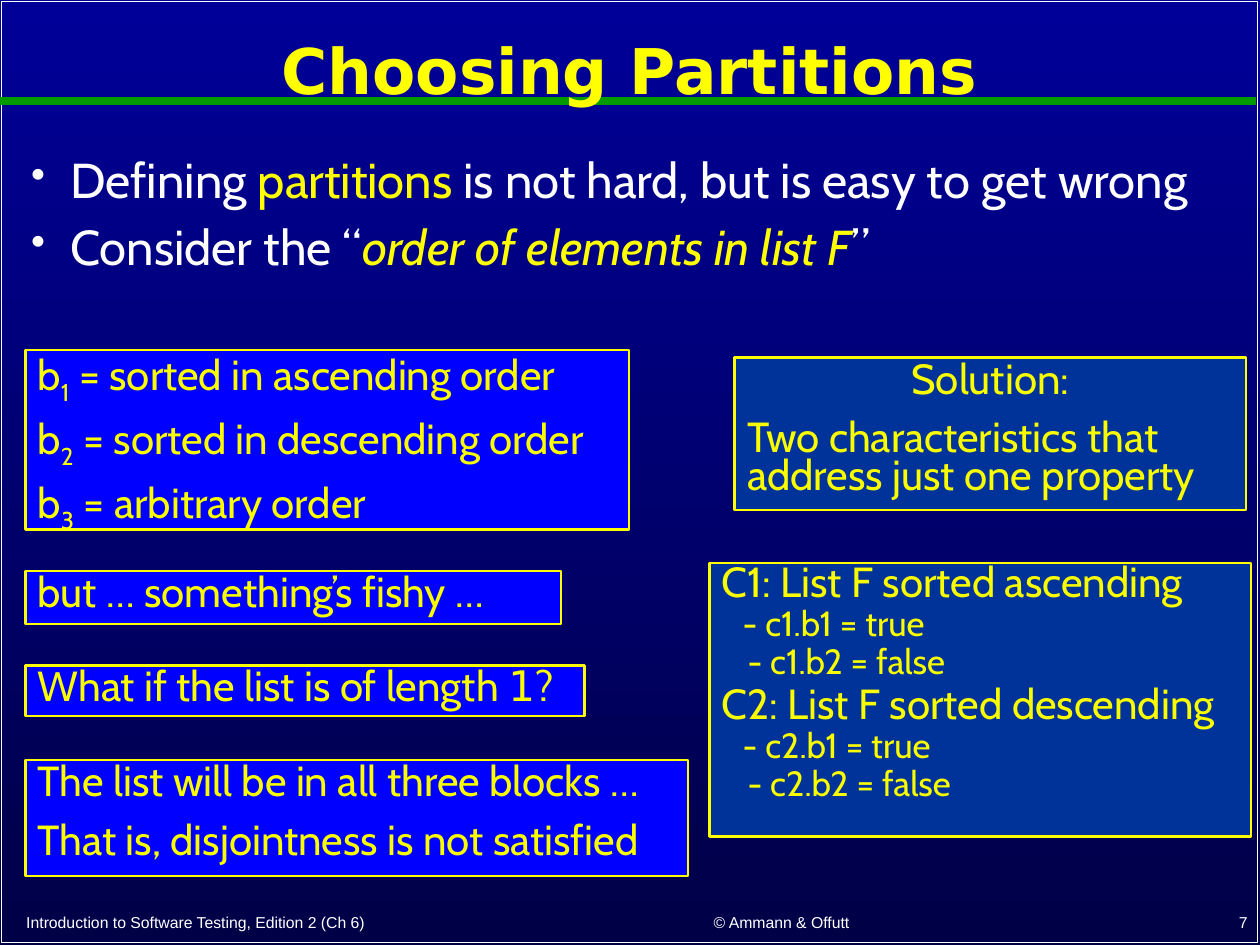
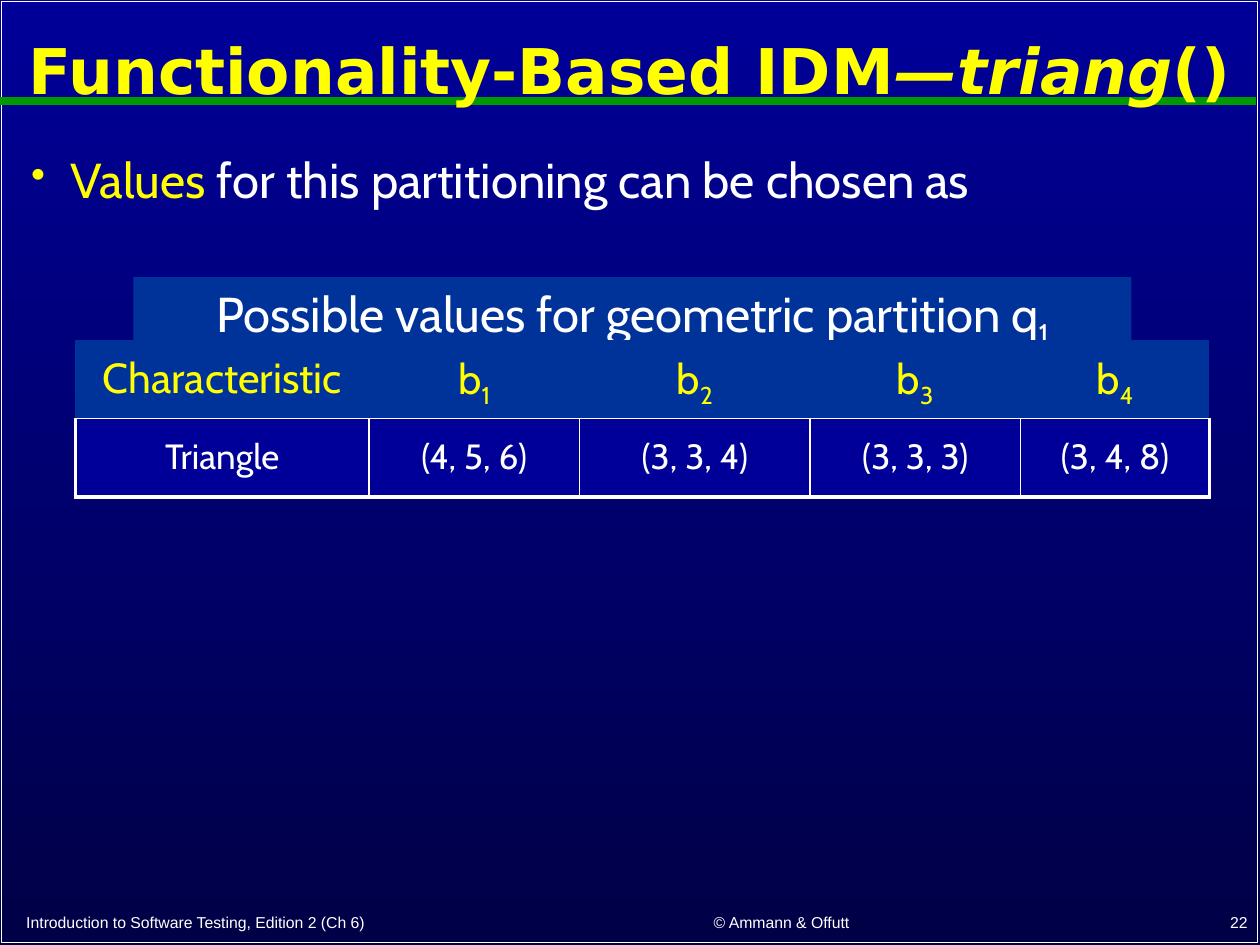
"""Build two software-testing lecture slides on partitions and triang() values."""
from dataclasses import dataclass

from lxml import etree
from pptx import Presentation
from pptx import util as u
from pptx.dml.color import RGBColor
from pptx.enum import shapes, text
from pptx.oxml.ns import qn


@dataclass(frozen=True)
class Theme:
    """Colours, fonts and type sizes shared by the slides."""
    white: str = "FFFFFF"
    yellow: str = "FFFF00"
    box_text: str = "FAFD00"
    green: str = "009900"
    blue: str = "0000FF"
    steel: str = "003399"
    navy: str = "000099"
    midnight: str = "000047"
    title_font: str = "DejaVu Sans"
    body_font: str = "Cabin"
    footer_font: str = "Arial"
    title: int = 36
    body: int = 28
    box: int = 24
    detail: int = 20
    footer: int = 9


THEME = Theme()
ACCENT = {"color": THEME.yellow}
ITALIC = {"italic": True}
SUB = {"sub": True}
CENTER, RIGHT = text.PP_ALIGN.CENTER, text.PP_ALIGN.RIGHT

FOOTER = "Introduction to Software Testing, Edition 2 (Ch 6)"
COPYRIGHT = "© Ammann & Offutt"


def block(number, meaning):
    """Return the runs of a block name b with its subscript and meaning."""
    return ["b", (str(number), SUB), meaning]


def characteristic(name, order):
    """Return the paragraphs of one characteristic and its two blocks."""
    return [
        f"{name.upper()}: List F sorted {order}",
        {"runs": [f"- {name}.b1 = true"], "size": THEME.detail, "indent": 0.42},
        {"runs": [f"- {name}.b2 = false"], "size": THEME.detail, "indent": 0.52},
    ]


PARTITIONS = {
    "title": ["Choosing Partitions"],
    "number": "7",
    "body_height": 4.11,
    "body": [
        ["Defining ", ("partitions", ACCENT), " is not hard, but is easy to get wrong"],
        ["Consider the “", ("order of elements in list F", ACCENT | ITALIC), "”"],
    ],
}
BLOCKS = [
    block(1, " = sorted in ascending order"),
    block(2, " = sorted in descending order"),
    block(3, " = arbitrary order"),
]
DOUBTS = [
    (10.8, 1.07, ["but … something’s fishy …"]),
    (11.28, 1.02, [["What if the list is of length ", ("1", {"font": THEME.title_font}), "?"]]),
    (13.36, 2.34, ["The list will be in all three blocks …",
                   "That is, disjointness is not satisfied"]),
]
SOLUTION = [
    {"runs": ["Solution:"], "align": CENTER},
    "Two characteristics that address just one property",
]
CHARACTERISTICS = characteristic("c1", "ascending") + characteristic("c2", "descending")

TRIANG = {
    "title": ["Functionality-Based IDM", ("—triang", ITALIC), "()"],
    "number": "22",
    "body_height": 2.49,
    "body": [[("Values", ACCENT), " for this partitioning can be chosen as"]],
}
CAPTION = ["Possible values for geometric partition q", ("1", SUB)]
VALUES = [
    [["Characteristic"]] + [block(number, "") for number in range(1, 5)],
    [["Triangle"], ["(4, 5, 6)"], ["(3, 3, 4)"], ["(3, 3, 3)"], ["(3, 4, 8)"]],
]
COLUMN_WIDTHS = [5.92, 4.24, 4.65, 4.24, 3.81]
ROW_HEIGHT = 1.58


def rgb(color):
    """Return a colour object for a hex string."""
    return RGBColor.from_string(color)


def write(frame, paragraphs, *, size, color=THEME.white, font=THEME.body_font, bold=False,
          align=None, spacing=1.0, before=0.0, bullet=False):
    """Fill a text frame; before is a share of the paragraph's type size."""
    frame.word_wrap = True
    for index, content in enumerate(paragraphs):
        if isinstance(content, str):
            content = [content]
        options = content if isinstance(content, dict) else {"runs": content}
        points = options.get("size", size)
        paragraph = frame.add_paragraph() if index else frame.paragraphs[0]
        properties = paragraph._p.get_or_add_pPr()
        if bullet:
            properties.set("marL", str(u.Cm(0.79)))
            properties.set("indent", str(-u.Cm(0.79)))
            etree.SubElement(properties, qn("a:buSzPct")).set("val", "85000")
            etree.SubElement(properties, qn("a:buChar")).set("char", "•")
        elif "indent" in options:
            properties.set("marL", str(u.Cm(options["indent"])))
        paragraph.alignment = options.get("align", align)
        paragraph.line_spacing = spacing
        paragraph.space_before = u.Pt(round(points * before, 1) if index else 0)
        for item in options["runs"]:
            words, style = (item, {}) if isinstance(item, str) else item
            if not words:
                continue
            run = paragraph.add_run()
            run.text = words
            run.font.size = u.Pt(points)
            run.font.name = style.get("font", font)
            run.font.bold = bold
            run.font.italic = style.get("italic", False)
            run.font.color.rgb = rgb(style.get("color", color))
            if style.get("sub"):
                run._r.get_or_add_rPr().set("baseline", "-25000")


def add_text(slide, area, paragraphs, anchor=text.MSO_ANCHOR.TOP, **style):
    """Add a plain text box."""
    frame = slide.shapes.add_textbox(*map(u.Cm, area)).text_frame
    frame.vertical_anchor = anchor
    write(frame, paragraphs, **style)


def add_box(slide, area, fill=None, line=None, width=1.5):
    """Add a rectangle and return it."""
    shape = slide.shapes.add_shape(shapes.MSO_SHAPE.RECTANGLE, *map(u.Cm, area))
    shape.shadow.inherit = False
    if fill:
        shape.fill.solid()
        shape.fill.fore_color.rgb = rgb(fill)
    else:
        shape.fill.background()
    if line:
        shape.line.color.rgb = rgb(line)
        shape.line.width = u.Pt(width)
    else:
        shape.line.fill.background()
    return shape


def add_note(slide, area, paragraphs, fill, line=THEME.yellow, **style):
    """Add a filled rectangle with text that starts at its top left."""
    frame = add_box(slide, area, fill, line).text_frame
    frame.vertical_anchor = text.MSO_ANCHOR.TOP
    defaults = {"size": THEME.box, "color": THEME.box_text, "spacing": 0.75,
                "before": 0.5, "align": text.PP_ALIGN.LEFT}
    write(frame, paragraphs, **(defaults | style))


def add_slide(presentation, content):
    """Add a slide with its frame, title band, bullets and footers."""
    slide = presentation.slides.add_slide(presentation.slide_layouts[5])
    add_box(slide, (0.03, 0.03, 25.32, 18.97), line=THEME.white, width=1)
    band = slide.shapes.add_connector(
        shapes.MSO_CONNECTOR.STRAIGHT, *map(u.Cm, (0, 2.03, 25.32, 2.03)))
    band.line.color.rgb = rgb(THEME.green)
    band.line.width = u.Pt(4.5)
    etree.SubElement(band._element.spPr, qn("a:effectLst"))

    title = slide.shapes.title
    title.left, title.top, title.width, title.height = map(u.Cm, (0.03, 0.28, 25.32, 2.41))
    title.text_frame.auto_size = text.MSO_AUTO_SIZE.NONE
    title.text_frame.vertical_anchor = text.MSO_ANCHOR.MIDDLE
    write(title.text_frame, [content["title"]], size=THEME.title, color=THEME.yellow,
          font=THEME.title_font, bold=True, align=CENTER, spacing=0.9)
    title.element.getparent().append(title.element)

    add_text(slide, (0.38, 3.02, 24.64, content["body_height"]), content["body"],
             size=THEME.body, spacing=0.9, before=0.3, bullet=True)
    footers = [
        ((0.28, 18.24, 10.95, 0.66), FOOTER, None),
        ((11.73, 18.21, 8.05, 0.69), COPYRIGHT, CENTER),
        ((20.12, 18.19, 5.28, 0.71), content["number"], RIGHT),
    ]
    for area, words, align in footers:
        add_text(slide, area, [words], anchor=text.MSO_ANCHOR.BOTTOM, size=THEME.footer,
                 font=THEME.footer_font, align=align)
    return slide


def set_borders(cell, widths):
    """Set the left, right, top and bottom borders; zero hides one."""
    properties = cell._tc.get_or_add_tcPr()
    for side, width in zip("LRTB", widths):
        line = etree.SubElement(properties, qn(f"a:ln{side}"), w=str(u.Pt(width)))
        if width:
            fill = etree.SubElement(line, qn("a:solidFill"))
            etree.SubElement(fill, qn("a:srgbClr"), val=THEME.white)
        else:
            etree.SubElement(line, qn("a:noFill"))


def add_values_table(slide):
    """Add the table of triangle values."""
    rows, columns = len(VALUES), len(COLUMN_WIDTHS)
    area = (1.52, 6.86, sum(COLUMN_WIDTHS), ROW_HEIGHT * rows)
    table = slide.shapes.add_table(rows, columns, *map(u.Cm, area)).table
    table.first_row = table.horz_banding = False
    for column, width in zip(table.columns, COLUMN_WIDTHS):
        column.width = u.Cm(width)
    for row_index, row in enumerate(VALUES):
        header = row_index == 0
        for column_index, runs in enumerate(row):
            cell = table.cell(row_index, column_index)
            left = 2.25 if column_index == 0 else 1
            right = 2.25 if column_index == columns - 1 else 1
            set_borders(cell, (0, 0, 0, 1) if header else (left, right, 1, 2.25))
            cell.fill.solid()
            cell.fill.fore_color.rgb = rgb(THEME.steel if header else THEME.navy)
            cell.vertical_anchor = text.MSO_ANCHOR.MIDDLE
            write(cell.text_frame, [runs], size=THEME.box if header else THEME.detail,
                  color=THEME.yellow if header else THEME.white, align=CENTER, spacing=0.9)


def main():
    """Build and save the presentation."""
    presentation = Presentation()
    presentation.slide_width, presentation.slide_height = u.Cm(25.4), u.Cm(19.05)
    background = presentation.slide_master.background.fill
    background.gradient()
    background.gradient_angle = 270
    for stop, color in zip(background.gradient_stops, (THEME.navy, THEME.midnight)):
        stop.color.rgb = rgb(color)

    slide = add_slide(presentation, PARTITIONS)
    add_note(slide, (0.51, 7.06, 12.17, 3.61), BLOCKS, THEME.blue)
    for index, (width, height, paragraphs) in enumerate(DOUBTS):
        add_note(slide, (0.51, 11.51 + 1.905 * index, width, height), paragraphs, THEME.blue)
    add_note(slide, (14.81, 7.21, 10.31, 3.07), SOLUTION, THEME.steel)
    add_note(slide, (14.3, 11.35, 10.92, 5.51), CHARACTERISTICS, THEME.steel,
             spacing=0.7, before=0.25)

    slide = add_slide(presentation, TRIANG)
    add_note(slide, (2.69, 5.59, 20.12, 1.45), [CAPTION], THEME.steel, line=None,
             size=THEME.body, color=THEME.white, spacing=1.0, align=CENTER)
    add_values_table(slide)
    presentation.save("out.pptx")


if __name__ == "__main__":
    main()
